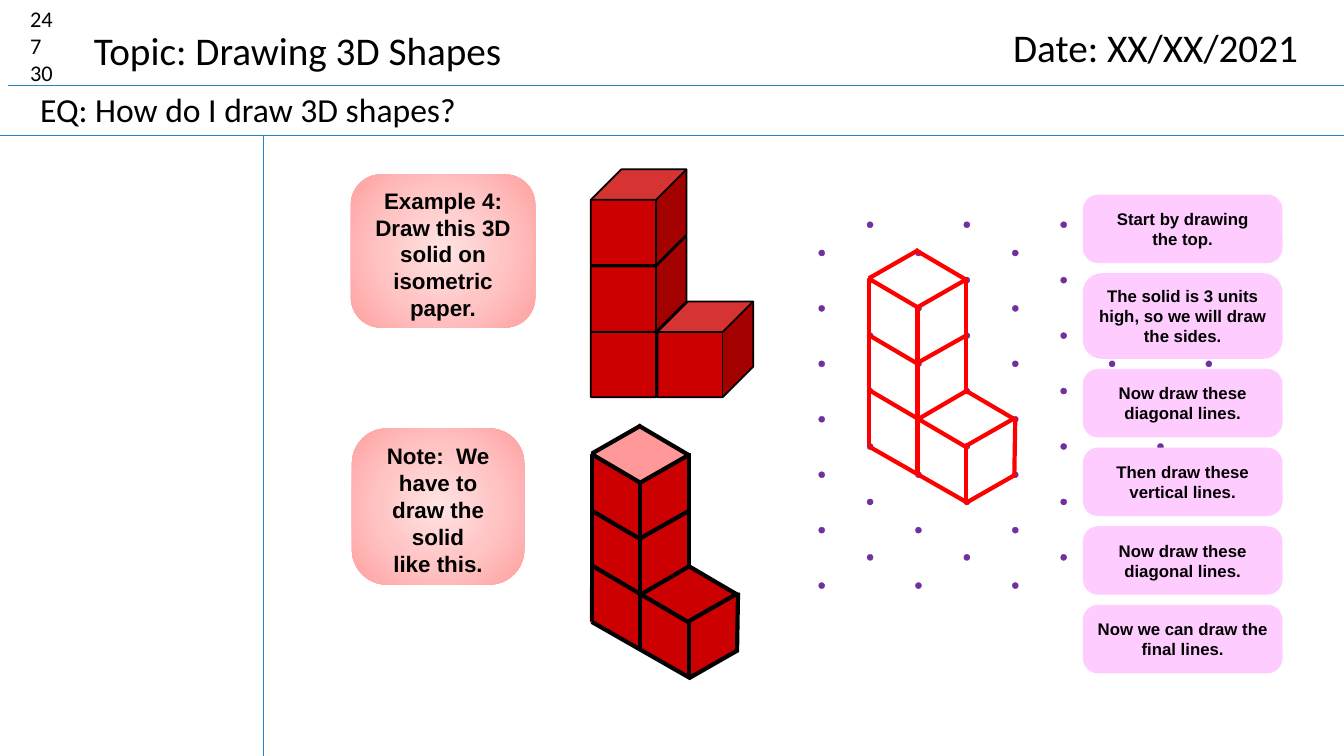
from pptx import Presentation, util as u
from pptx.dml.color import RGBColor
from pptx.enum import shapes, text
from pptx.oxml import parse_xml
from pptx.oxml.ns import nsdecls
from lxml import etree

PX = 9144
HUES = {"ink": "000000", "rule": "2683C6", "dot": "7030A0", "cube": "CC0000",
        "top": "FF9999", "draw": "FF0000", "step": "FFCCFF"}
GLOW = {0: "FFE3E3", 50: "FFC5C5", 100: "FFA0A0"}
KIND = shapes.MSO_SHAPE
LEFT, MID = text.PP_ALIGN.LEFT, text.PP_ALIGN.CENTER

RULES = [(8, 85, 1333, 85), (0, 134, 1333, 134), (261, 134, 261, 750)]
CUBES = [(586, 299), (652, 299), (586, 234), (586, 168)]
BODY = [(633, 423), (586, 451), (585, 617), (683, 672),
        (732, 645), (732, 588), (682, 562), (683, 452)]
ROOF = [(634, 421), (587, 449), (634, 478), (682, 451)]
EDGES = [(48, 0, 99, 30), (100, 139, 52, 167), (2, 194, 2, 29), (50, 223, 50, 58),
         (98, 252, 98, 193), (146, 225, 147, 166), (1, 28, 52, 58), (1, 84, 52, 114),
         (97, 139, 148, 169), (2, 139, 99, 196), (2, 195, 100, 251), (98, 140, 98, 27),
         (51, 0, 2, 28), (97, 30, 48, 58), (98, 85, 50, 112), (146, 167, 97, 195),
         (147, 223, 98, 251)]
STEPS = [["Start by drawing", "the top."],
         ["The solid is 3 units high, so we will draw the sides."],
         ["Now draw these diagonal lines."],
         ["Then draw these vertical lines."],
         ["Now draw these diagonal lines."],
         ["Now we can draw the final lines."]]
NOTES = [((348, 173, 183, 152), 0.196,
          ["Example 4:", "Draw this 3D solid on", "isometric paper."]),
         ((349, 425, 171, 155), 0.222,
          ["Note:  We have to draw the solid", "like this."])]


def scale(vals):
    return [v * PX for v in vals]


def tint(name):
    return RGBColor.from_string(HUES[name])


def write(shape, lines, size, face="Calibri", bold=False, align=LEFT):
    frame = shape.text_frame
    frame.text = "\n".join(lines)
    look = {"name": face, "size": u.Pt(size), "bold": bold}
    for para in frame.paragraphs:
        para.alignment = align
        for key, val in look.items():
            setattr(para.font, key, val)
        para.font.color.rgb = tint("ink")
    return frame


def fit(frame, **form):
    for key, val in form.items():
        setattr(frame, key, val)


def label(slide, box, lines, size):
    shape = slide.shapes.add_textbox(*scale(box))
    fit(write(shape, lines, size), word_wrap=True)


def head(slide, box, line):
    shape = slide.shapes.title
    for key, val in zip(("left", "top", "width", "height"), scale(box)):
        setattr(shape, key, val)
    fit(write(shape, [line], 28), word_wrap=False,
        auto_size=text.MSO_AUTO_SIZE.NONE, vertical_anchor=text.MSO_ANCHOR.TOP)


def paint(shape, fill, edge=None, width=1):
    shape.shadow.inherit = False
    shape.fill.solid()
    shape.fill.fore_color.rgb = tint(fill)
    if edge:
        shape.line.color.rgb = tint(edge)
        shape.line.width = u.Pt(width)
    else:
        shape.line.fill.background()


def solid(slide, kind, box, *look):
    shape = slide.shapes.add_shape(kind, *scale(box))
    paint(shape, *look)
    return shape


def line(slide, ends, color, width):
    link = slide.shapes.add_connector(shapes.MSO_CONNECTOR.STRAIGHT, *scale(ends))
    link.line.color.rgb = tint(color)
    link.line.width = u.Pt(width)
    link._element.spPr.append(parse_xml(f"<a:effectLst {nsdecls('a')}/>"))


def face(slide, points, color):
    form = slide.shapes.build_freeform(*points[0], scale=PX)
    form.add_line_segments(points[1:], close=True)
    paint(form.convert_to_shape(), color)


def glow(shape):
    shape.fill.background()
    stops = "".join(f'<a:gs pos="{at * 1000}"><a:srgbClr val="{rgb}"/></a:gs>'
                    for at, rgb in GLOW.items())
    grad = parse_xml(
        f'<a:gradFill {nsdecls("a")}><a:gsLst>{stops}</a:gsLst><a:path path="circle">'
        '<a:fillToRect l="50000" t="50000" r="50000" b="50000"/></a:path></a:gradFill>')
    props = shape._element.spPr
    blank = props.find(etree.QName(grad.nsmap["a"], "noFill"))
    props.replace(blank, grad)


def card(slide, box, curve, lines, size, top=0):
    shape = solid(slide, KIND.ROUNDED_RECTANGLE, box, "step")
    shape.adjustments[0] = curve
    frame = write(shape, lines, size, "Arial", True, MID)
    fit(frame, word_wrap=True, vertical_anchor=text.MSO_ANCHOR.MIDDLE,
        margin_left=8 * PX, margin_right=8 * PX, margin_top=top * PX, margin_bottom=0)
    return shape


def dots(slide):
    grid = [(col, row) for col in range(6) for row in range(7)]
    for col, row in grid + [(6, 2), (7, 4), (8, 2)]:
        top = (220 if col % 2 else 248) + 55 * row
        solid(slide, KIND.OVAL, (812 + 48 * col, top, 6, 6), "dot", "dot", 0.25)


def frame(slide, left, top, color):
    for x1, y1, x2, y2 in EDGES:
        line(slide, (left + x1, top + y1, left + x2, top + y2), color, 3)


def main():
    deck = Presentation()
    deck.slide_width, deck.slide_height = scale((1333, 750))
    slide = deck.slides.add_slide(deck.slide_layouts[5])
    head(slide, (83, 21, 429, 57), "Topic: Drawing 3D Shapes")
    for ends in RULES:
        line(slide, ends, "rule", 0.75)
    label(slide, (20, 0, 63, 91), ["24", "7", "30"], 16)
    label(slide, (30, 83, 1164, 50), ["EQ: How do I draw 3D shapes?"], 24)
    label(slide, (995, 18, 328, 57), ["Date: XX/XX/2021"], 28)
    face(slide, BODY, "cube")
    face(slide, ROOF, "top")
    dots(slide)
    for left, top in CUBES:
        cube = solid(slide, KIND.CUBE, (left, top, 95, 95), "cube", "ink", 1.25)
        cube.adjustments[0] = 0.319
    frame(slide, 860, 248, "draw")
    frame(slide, 585, 422, "ink")
    top = 193
    for lines in STEPS:
        high = 85 if len(lines[0]) > 40 else 68
        card(slide, (1074, top, 198, high), 0.222, lines, 12)
        top += high + 10
    for box, curve, lines in NOTES:
        glow(card(slide, box, curve, lines, 16, 6))
    deck.save("out.pptx")


if __name__ == "__main__":
    main()
